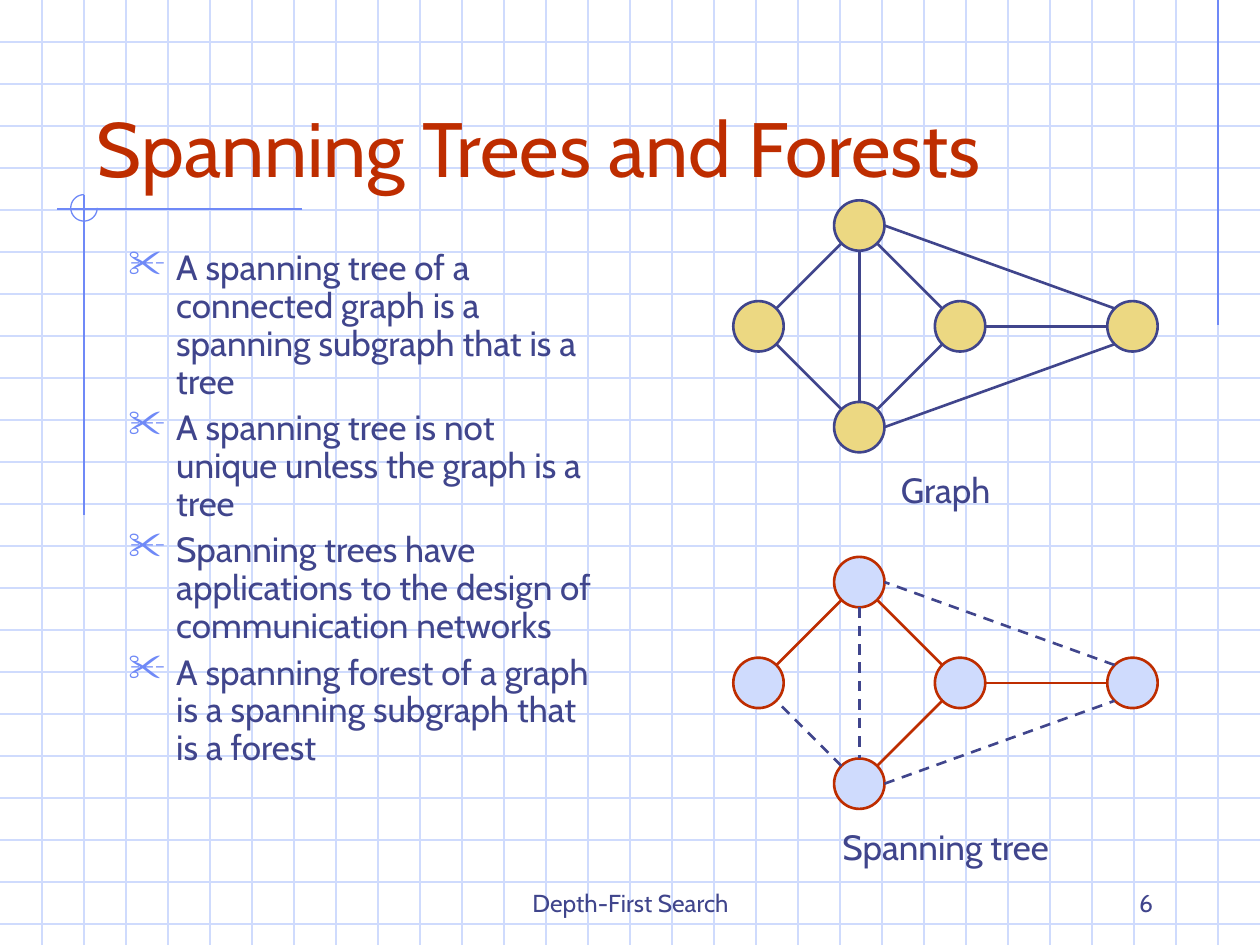
from math import cos, pi, sin

from pptx import Presentation
from pptx.dml.color import RGBColor
from pptx.enum.dml import MSO_LINE_DASH_STYLE as Dash
from pptx.enum.shapes import MSO_CONNECTOR as Conn, MSO_SHAPE as Shape
from pptx.enum.text import MSO_ANCHOR as Anchor, PP_ALIGN as Align
from pptx.oxml.xmlchemy import OxmlElement
from pptx.util import Inches, Pt

W, H = 10, 7.5
CELL = 1 / 3  # squared-paper pitch
FONT = "Cabin"
INK, RED, BLUE, PALE, GOLD = "40458C", "BE2D00", "6F89F7", "CFDBFD", "ECD882"

# Graph nodes as (column, row) of a 0.8 inch grid
STEP, NODE = 0.8, 0.4
NODES = {"left": (0, 1), "top": (1, 0), "mid": (2, 1), "bottom": (1, 2), "right": (3.71, 1)}
# Points on a node's rim, as shares of its radius
DIAG = 0.71
RIM = {"E": (1, 0), "W": (-1, 0), "N": (0, -1), "S": (0, 1),
       "NE": (DIAG, -DIAG), "NW": (-DIAG, -DIAG), "SE": (DIAG, DIAG), "SW": (-DIAG, DIAG)}
# from node, rim point, to node, rim point, belongs to the spanning tree
EDGES = [
    ("top", "SW", "left", "NE", True),
    ("bottom", "NW", "left", "SE", False),
    ("bottom", "NE", "mid", "SW", True),
    ("top", "SE", "mid", "NW", True),
    ("top", "S", "bottom", "N", False),
    ("mid", "E", "right", "W", True),
    ("bottom", "E", "right", "SW", False),
    ("right", "NW", "top", "E", False),
]
POINTS = [
    "A spanning tree of a connected graph is a spanning subgraph that is a tree",
    "A spanning tree is not unique unless the graph is a tree",
    "Spanning trees have applications to the design of communication networks",
    "A spanning forest of a graph is a spanning subgraph that is a forest",
]


def rgb(hex_color):
    return RGBColor.from_string(hex_color)


def set_line(shape, color, width):
    shape.line.color.rgb = rgb(color)
    shape.line.width = Pt(width)


def add_line(s, start, end, color, width=0.75, dashed=False):
    line = s.shapes.add_connector(Conn.STRAIGHT, *map(Inches, (*start, *end)))
    set_line(line, color, width)
    if dashed:
        line.line.dash_style = Dash.DASH
    line._element.spPr.append(OxmlElement("a:effectLst"))


def add_text(s, box, paragraphs, size, color=INK, align=Align.LEFT, anchor=Anchor.TOP):
    tf = s.shapes.add_textbox(*map(Inches, box)).text_frame
    tf.word_wrap = True
    tf.vertical_anchor = anchor
    for i, text in enumerate(paragraphs):
        p = tf.add_paragraph() if i else tf.paragraphs[0]
        p.alignment = align
        r = p.add_run()
        r.text = text
        r.font.name, r.font.size = FONT, Pt(size)
        r.font.color.rgb = rgb(color)
    return tf


def set_bullet(p, char, color, percent, indent):
    p.line_spacing, p.space_before = 0.9, Pt(5)
    pPr = p._p.get_or_add_pPr()
    pPr.set("marL", str(Inches(indent)))
    pPr.set("indent", str(-Inches(indent)))
    bu_clr = OxmlElement("a:buClr")
    clr = OxmlElement("a:srgbClr")
    clr.set("val", color)
    bu_clr.append(clr)
    bu_size = OxmlElement("a:buSzPct")
    bu_size.set("val", str(percent * 1000))
    bu_char = OxmlElement("a:buChar")
    bu_char.set("char", char)
    pPr.extend([bu_clr, bu_size, bu_char])


def add_arc(s, x, y, radius, color):
    """Three quarters of a circle, from the top by the left to the right."""
    steps = 36
    angles = [pi / 2 + 1.5 * pi * i / steps for i in range(steps + 1)]
    pts = [(Inches(x + radius * cos(a)), Inches(y - radius * sin(a))) for a in angles]
    fb = s.shapes.build_freeform(*pts[0])
    fb.add_line_segments(pts[1:], close=False)
    arc = fb.convert_to_shape()
    arc.shadow.inherit = False
    arc.fill.background()
    set_line(arc, color, 0.75)


def add_background(s):
    # Squared paper
    for row in range(1, int(H / CELL) + 1):
        add_line(s, (0, row * CELL), (W, row * CELL), PALE)
    for col in range(1, int(W / CELL)):
        add_line(s, (col * CELL, 0), (col * CELL, H), PALE)
    # Margin rules and the arc where they cross
    add_line(s, (29 * CELL, 0), (29 * CELL, 2.58), BLUE)
    add_line(s, (2.4, 1.66), (0.45, 1.66), BLUE)
    add_line(s, (2 * CELL, 1.55), (2 * CELL, 4.09), BLUE)
    add_arc(s, 2 * CELL, 1.65, 0.105, BLUE)


def add_graph(s, x, y, fill, outline, tree_only):
    """Draw the graph with the centre of its grid's first cell at x, y."""
    centres = {name: (x + c * STEP, y + r * STEP) for name, (c, r) in NODES.items()}

    def rim(name, side):
        return [c + d * NODE / 2 for c, d in zip(centres[name], RIM[side])]

    for cx, cy in centres.values():
        box = (cx - NODE / 2, cy - NODE / 2, NODE, NODE)
        node = s.shapes.add_shape(Shape.OVAL, *map(Inches, box))
        node.shadow.inherit = False
        node.fill.solid()
        node.fill.fore_color.rgb = rgb(fill)
        set_line(node, outline, 1.5)
    for a, a_side, b, b_side, in_tree in EDGES:
        left_out = tree_only and not in_tree
        add_line(s, rim(a, a_side), rim(b, b_side),
                 INK if left_out else outline, 1.5, dashed=left_out)


def main():
    prs = Presentation()
    prs.slide_width, prs.slide_height = Inches(W), Inches(H)
    s = prs.slides.add_slide(prs.slide_layouts[6])
    add_background(s)

    # Footer
    add_text(s, (3.42, 6.83, 3.17, 0.5), ["Depth-First Search"], 14,
             align=Align.CENTER, anchor=Anchor.BOTTOM)
    add_text(s, (7.17, 6.83, 2.08, 0.5), ["6"], 14, align=Align.RIGHT, anchor=Anchor.BOTTOM)

    # Title and bullets
    add_text(s, (0.67, 0.33, 8.5, 1.25), ["Spanning Trees and Forests"], 44, RED,
             anchor=Anchor.BOTTOM)
    body = add_text(s, (0.92, 1.94, 3.92, 4.64), POINTS, 20)
    for p in body.paragraphs:
        set_bullet(p, "✂", BLUE, 110, 0.38)

    # The two graphs with their captions
    for y, caption, fill, outline, tree_only in (
            (1.79, "Graph", GOLD, INK, False),
            (4.62, "Spanning tree", PALE, RED, True)):
        add_text(s, (5.51, y + 1.88, 3.99, 0.44), [caption], 20, align=Align.CENTER)
        add_graph(s, 6.02, y, fill, outline, tree_only)

    prs.save("out.pptx")


if __name__ == "__main__":
    main()
